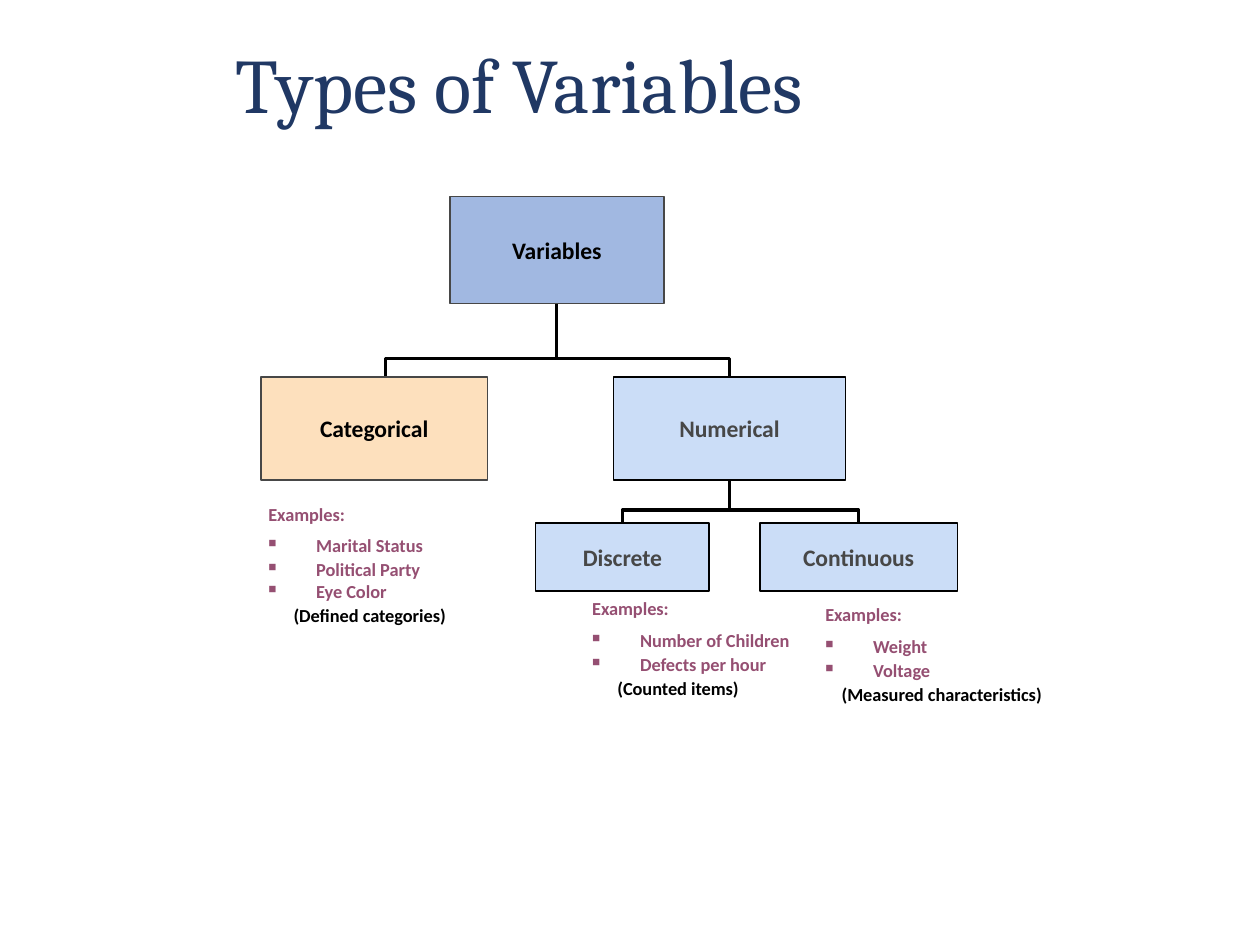
from dataclasses import dataclass
from typing import Any

import pptx
import pptx.dml.color
import pptx.enum.shapes
import pptx.enum.text
import pptx.oxml
import pptx.oxml.ns
import pptx.util

Pt = pptx.util.Pt
COLUMNS, ROWS = 100, 75  # grid over the whole slide


@dataclass(frozen=True)
class Theme:
    heading_font: str = "Cambria"
    body_font: str = "Calibri"
    title_size: float = 44
    box_size: float = 13.5
    list_size: float = 10.5
    title: str = "203864"
    ink: str = "000000"
    grey: str = "474747"
    plum: str = "954F72"
    root: str = "4472C4"
    peach: str = "FDE0BD"
    sky: str = "CBDDF7"


@dataclass(frozen=True)
class Area:
    column: float
    row: float
    columns: float
    rows: float


@dataclass(frozen=True)
class Node:
    label: str
    area: Area
    fill: str
    line: str
    ink: str
    opacity: int = 100
    joint: float = 0.5  # share of the top edge where the branch arrives


@dataclass(frozen=True)
class Branch:
    parent: Node
    child: Node
    bend: float  # share of the height, from the child upwards
    weight: float


@dataclass(frozen=True)
class Examples:
    area: Area
    items: tuple[str, ...]
    remark: str
    indent: float  # columns


THEME = Theme()
deck = pptx.Presentation()
deck.slide_width, deck.slide_height = pptx.util.Inches(10), pptx.util.Inches(7.5)


def across(columns: float) -> int:
    return round(deck.slide_width * columns / COLUMNS)


def down(rows: float) -> int:
    return round(deck.slide_height * rows / ROWS)


def frame(area: Area) -> tuple[int, int, int, int]:
    return across(area.column), down(area.row), across(area.columns), down(area.rows)


def rgb(color: str) -> pptx.dml.color.RGBColor:
    return pptx.dml.color.RGBColor.from_string(color)


def apply(target: Any, formats: dict[str, Any]) -> None:
    for name, value in formats.items():
        setattr(target, name, value)


def add_child(parent: Any, tag: str, **attributes: str) -> Any:
    child = pptx.oxml.parse_xml(f"<{tag} {pptx.oxml.ns.nsdecls('a')}/>")
    for name, value in attributes.items():
        child.set(name, value)
    parent.append(child)
    return child


def write(para: Any, text: str, font: str, size: float, color: str, bold: bool = True) -> None:
    span = para.add_run()
    span.text = text
    apply(span.font, {"name": font, "size": Pt(size), "bold": bold})
    span.font.color.rgb = rgb(color)


def draw_title(page: Any, text: str, area: Area) -> None:
    box = page.shapes.title
    apply(box, dict(zip(("left", "top", "width", "height"), frame(area))))
    apply(box.text_frame, {
        "auto_size": pptx.enum.text.MSO_AUTO_SIZE.NONE,
        "vertical_anchor": pptx.enum.text.MSO_ANCHOR.MIDDLE,
    })
    para = box.text_frame.paragraphs[0]
    apply(para, {"alignment": pptx.enum.text.PP_ALIGN.LEFT, "line_spacing": 0.9})
    write(para, text, THEME.heading_font, THEME.title_size, THEME.title, bold=False)


def draw_branch(page: Any, branch: Branch) -> None:
    """Turn an elbow connector so that it climbs from the child to its parent."""
    child, parent = branch.child.area, branch.parent.area
    start_x = across(child.column + child.columns * branch.child.joint)
    end_x = across(parent.column + parent.columns / 2)
    start_y, end_y = down(child.row), down(parent.row + parent.rows)
    middle_x, middle_y = (start_x + end_x) // 2, (start_y + end_y) // 2
    half_rise, half_run = (start_y - end_y) // 2, abs(end_x - start_x) // 2
    from_right = start_x > end_x
    side = 1 if from_right else -1
    line = page.shapes.add_connector(
        pptx.enum.shapes.MSO_CONNECTOR.ELBOW,
        middle_x + side * half_rise, middle_y - half_run,
        middle_x - side * half_rise, middle_y + half_run)
    properties = line._element.spPr
    properties.find(pptx.oxml.ns.qn("a:xfrm")).set("rot", str((90 if from_right else 270) * 60000))
    guides = properties.find(pptx.oxml.ns.qn("a:prstGeom")).get_or_add_avLst()
    add_child(guides, "a:gd", name="adj1", fmla=f"val {round(branch.bend * 100000)}")
    line.line.color.rgb = rgb(THEME.ink)
    line.line.width = Pt(branch.weight)
    add_child(properties, "a:effectLst")


def draw_node(page: Any, node: Node) -> None:
    box = page.shapes.add_shape(pptx.enum.shapes.MSO_SHAPE.RECTANGLE, *frame(node.area))
    box.shadow.inherit = False
    box.fill.solid()
    box.fill.fore_color.rgb = rgb(node.fill)
    if node.opacity < 100:
        color = box._element.spPr.find(".//" + pptx.oxml.ns.qn("a:srgbClr"))
        add_child(color, "a:alpha", val=str(node.opacity * 1000))
    box.line.color.rgb = rgb(node.line)
    box.line.width = Pt(1)
    apply(box.text_frame, {
        "word_wrap": False, "vertical_anchor": pptx.enum.text.MSO_ANCHOR.MIDDLE})
    para = box.text_frame.paragraphs[0]
    para.alignment = pptx.enum.text.PP_ALIGN.CENTER
    write(para, node.label, THEME.body_font, THEME.box_size, node.ink)


def add_bullet(para: Any) -> None:
    properties = para._p.get_or_add_pPr()
    properties.set("marL", str(across(3.8)))
    properties.set("indent", str(-across(3.8)))
    add_child(add_child(properties, "a:buClr"), "a:srgbClr", val=THEME.plum)
    add_child(properties, "a:buSzPct", val="60000")
    add_child(properties, "a:buChar", char="■")


def draw_examples(page: Any, examples: Examples) -> None:
    text = page.shapes.add_textbox(*frame(examples.area)).text_frame
    apply(text, {
        "word_wrap": True, "margin_left": across(0.7), "margin_right": across(0.7),
        "margin_top": down(0.4), "margin_bottom": down(0.4)})
    write(text.paragraphs[0], "Examples:", THEME.body_font, THEME.list_size, THEME.plum)
    for item, gap in zip(examples.items, (5.5, 1.1, 0)):
        para = text.add_paragraph()
        para.space_before = Pt(gap)
        add_bullet(para)
        write(para, item, THEME.body_font, THEME.list_size, THEME.plum)
    para = text.add_paragraph()
    para.space_before = Pt(1.1)
    para._p.get_or_add_pPr().set("marL", str(across(examples.indent)))
    write(para, examples.remark, THEME.body_font, THEME.list_size, THEME.ink)


def main() -> None:
    page = deck.slides.add_slide(deck.slide_layouts[5])
    draw_title(page, "Types of Variables", Area(17.7, 3.8, 64.7, 6.4))
    variables = Node("Variables", Area(35.7, 15.6, 17, 8.5), THEME.root, THEME.grey, THEME.ink, 50)
    categorical = Node("Categorical", Area(20.7, 29.9, 18, 8.2), THEME.peach, THEME.grey,
                       THEME.ink, joint=0.55)
    numerical, discrete, continuous = (
        Node(label, area, THEME.sky, THEME.ink, THEME.grey) for label, area in (
            ("Numerical", Area(48.7, 29.9, 18.4, 8.2)),
            ("Discrete", Area(42.5, 41.5, 13.8, 5.4)),
            ("Continuous", Area(60.3, 41.5, 15.7, 5.4))))
    for parent, children, bend, weight in (
            (numerical, (continuous, discrete), 0.3, 2),
            (variables, (numerical, categorical), 0.25, 1.75)):
        for child in children:
            draw_branch(page, Branch(parent, child, bend, weight))
    for node in (variables, categorical, numerical, discrete, continuous):
        draw_node(page, node)
    for examples in (
            Examples(Area(20.6, 39.5, 21.7, 10.8), ("Marital Status", "Political Party", "Eye Color"),
                     "(Defined categories)", 2),
            Examples(Area(46.3, 47, 19.7, 9), ("Number of Children", "Defects per hour"),
                     "(Counted items)", 2),
            Examples(Area(64.8, 47.5, 23.7, 9), ("Weight", "Voltage"),
                     "(Measured characteristics)", 1.3)):
        draw_examples(page, examples)
    deck.save("out.pptx")


if __name__ == "__main__":
    main()
